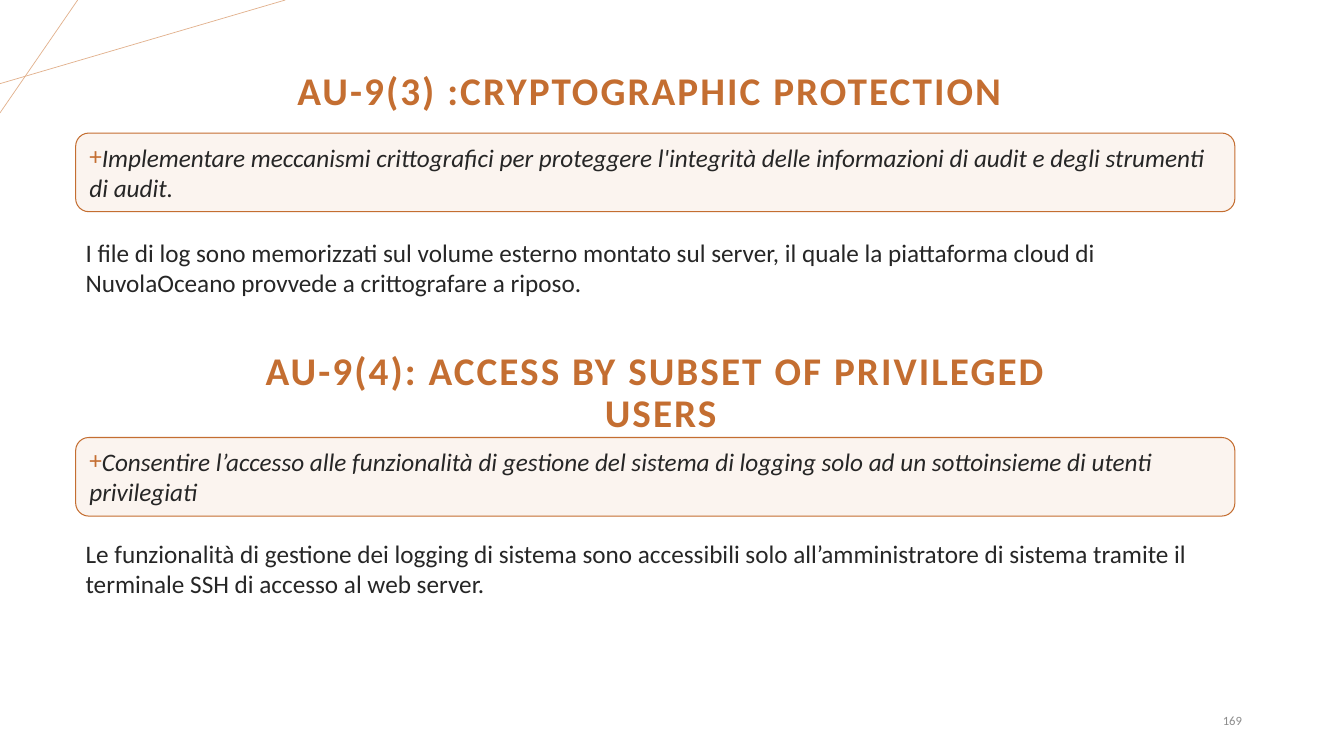
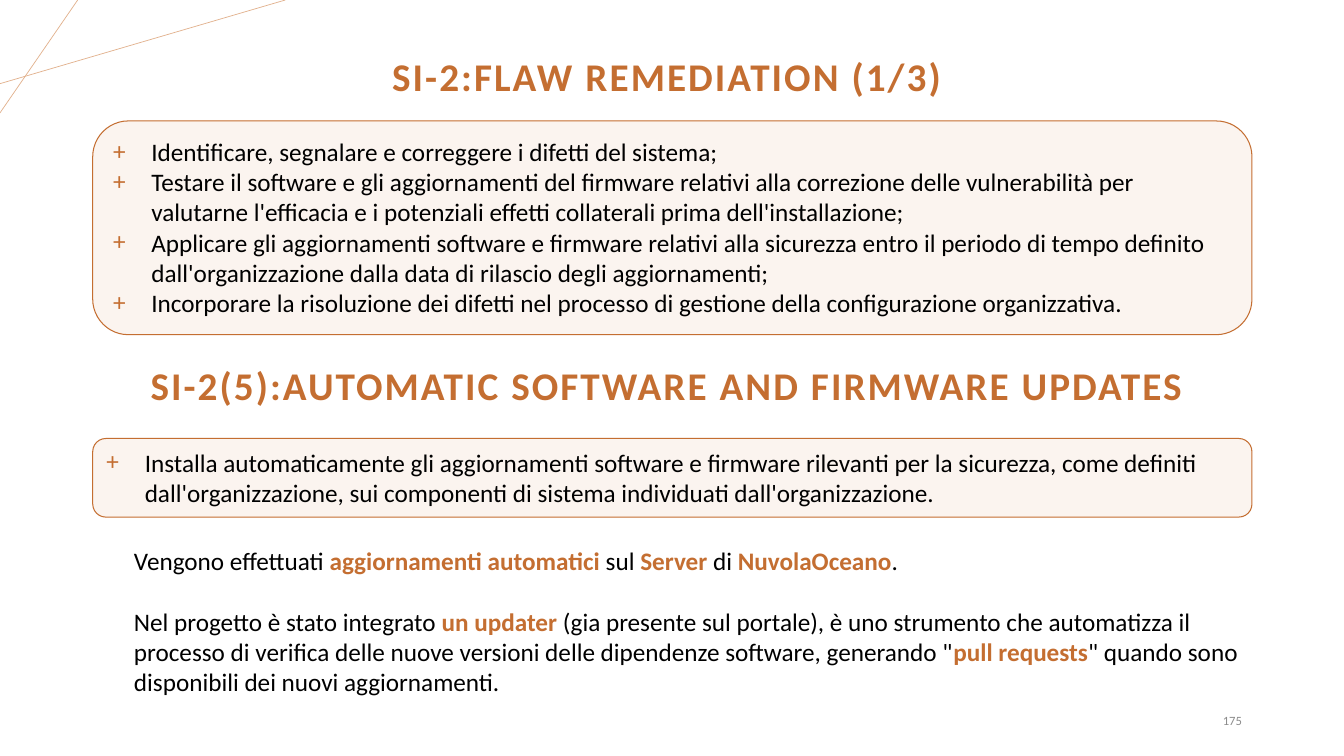
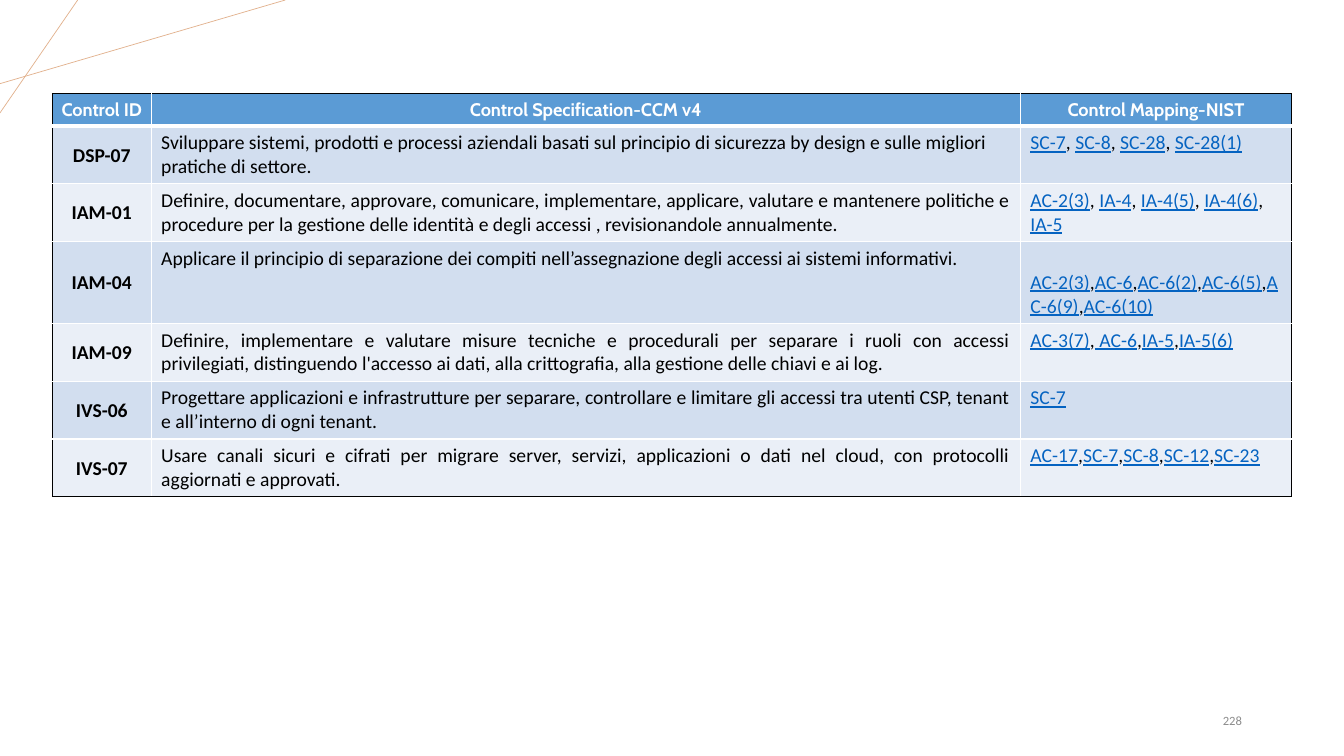
from dataclasses import dataclass

from lxml.etree import SubElement as Sub
from pptx import Presentation
from pptx.dml.color import RGBColor as Rgb
from pptx.enum.shapes import MSO_CONNECTOR as Conn, MSO_SHAPE as Form
from pptx.enum.text import MSO_ANCHOR as Anchor, MSO_AUTO_SIZE as Auto, PP_ALIGN as Align
from pptx.oxml.ns import qn
from pptx.util import Emu, Inches, Pt


@dataclass(frozen=True)
class Theme:
    font: str = "Calibri"
    head_font: str = "Cabin"
    accent: str = "C46E31"
    pale: str = "FBF4EF"
    ray: str = "E2B18D"
    ink: str = "262626"
    black: str = "000000"
    white: str = "FFFFFF"
    grey: str = "8C8C8C"
    link: str = "0563C1"
    head: str = "5B9BD5"
    bands: tuple = ("D2DEEF", "EAEFF7")
    title: int = 28
    body: int = 18
    cell: int = 14
    cell_head: int = 13
    small: int = 9


T = Theme()
WIDTH, HEIGHT = Inches(13.33), Inches(7.5)
SPAN = 86.25  # shared width of titles and panels, in percent


# Places are percentages of the slide's width and height
def across(share):
    return Emu(round(WIDTH * share / 100))


def down(share):
    return Emu(round(HEIGHT * share / 100))


def area(left, top, wide, high):
    return across(left), down(top), across(wide), down(high)


# Text
def style(run, size, color, bold=False, font=T.font):
    face = run.font
    face.name, face.size, face.bold = font, Pt(size), bold
    face.color.rgb = Rgb.from_string(color)


def frame(shape, anchor=Anchor.TOP):
    text = shape.text_frame
    text.word_wrap = True
    text.auto_size = Auto.NONE
    text.vertical_anchor = anchor
    return text


def paras(text, lines):
    text.text = "\n".join(lines)
    return text.paragraphs


def mixed(para, text, size, mark):
    """Write text whose parts between asterisks are set by mark(run)."""
    for i, part in enumerate(text.split("*")):
        if part:
            run = para.add_run()
            run.text = part
            style(run, size, T.black)
            if i % 2:
                mark(run)


def strong(run):
    style(run, T.body, T.accent, True)


def linked(run):
    style(run, T.cell, T.link)
    run.font.underline = True


def plus(para, indent):
    props = para._p.get_or_add_pPr()
    props.set("marL", str(Inches(indent)))
    props.set("indent", str(-Inches(indent)))
    Sub(Sub(props, qn("a:buClr")), qn("a:srgbClr"), val=T.accent)
    Sub(props, qn("a:buFont"), typeface=T.font)
    Sub(props, qn("a:buChar"), char="+")


# Slide elements
def heading(shape, place, *lines):
    shape.left, shape.top, shape.width, shape.height = place
    for para in paras(frame(shape, Anchor.MIDDLE), lines):
        para.alignment = Align.CENTER
        para.line_spacing = 0.9
        for run in para.runs:
            style(run, T.title, T.accent, True)
            run._r.get_or_add_rPr().set("spc", "150")


def subhead(slide, place, *lines):
    heading(slide.shapes.add_textbox(*place), place, *lines)


def panel(slide, place, lines, color, indent=0, italic=False):
    shape = slide.shapes.add_shape(Form.ROUNDED_RECTANGLE, *place)
    shape.shadow.inherit = False
    shape.fill.solid()
    shape.fill.fore_color.rgb = Rgb.from_string(T.pale)
    shape.line.color.rgb = Rgb.from_string(T.accent)
    shape.line.width = Pt(0.75)
    for para in paras(frame(shape), lines):
        para.alignment = Align.LEFT
        plus(para, indent)
        for run in para.runs:
            style(run, T.body, color)
            run.font.italic = italic


def note(slide, place, line):
    para = paras(frame(slide.shapes.add_textbox(*place)), [line])[0]
    style(para.runs[0], T.body, T.ink)


def number(slide, value):
    box = slide.shapes.add_textbox(*area(70.65, 92.67, 22.5, 5.33))
    para = paras(frame(box, Anchor.MIDDLE), [str(value)])[0]
    para.alignment = Align.RIGHT
    style(para.runs[0], T.small, T.grey)


def page(deck, layout, value):
    slide = deck.slides.add_slide(deck.slide_layouts[layout])
    number(slide, value)
    return slide


def rays(deck, slide):
    """Draw the corner lines once and hand them to the master."""
    ends = [(0, 11.07, 21.23, 0), (5.78, 0, 0, 14.93)]
    for x1, y1, x2, y2 in ends:
        line = slide.shapes.add_connector(
            Conn.STRAIGHT, across(x1), down(y1), across(x2), down(y2))
        line.line.color.rgb = Rgb.from_string(T.ray)
        line.line.width = Pt(0.5)
        Sub(line.element.spPr, qn("a:effectLst"))
        deck.slide_master.shapes.element.append(line.element)


# Table
def edge(cell, side, color, width=1):
    line = Sub(cell._tc.get_or_add_tcPr(), qn(f"a:ln{side}"), w=str(Pt(width)))
    Sub(Sub(line, qn("a:solidFill")), qn("a:srgbClr"), val=color)


def borders(cell, row, col, rows, cols):
    outer = {"L": col == 0, "R": col == cols - 1,
             "T": row == 0, "B": row == rows - 1}
    for side, rim in outer.items():
        thick = (row, side) in ((0, "B"), (1, "T"))
        edge(cell, side, T.black if rim else T.white, 3 if thick else 1)


def tight(cell):
    cell.vertical_anchor = Anchor.MIDDLE
    cell.margin_left = cell.margin_right = cell.margin_top = Inches(0.01)
    cell.margin_bottom = 0


def label(cell, text, size, color, font=T.font):
    tight(cell)
    para = paras(cell.text_frame, [text])[0]
    para.alignment = Align.CENTER
    style(para.runs[0], size, color, True, font)


def grid(slide, left, top, widths, heights, head, rows):
    place = area(left, top, sum(widths), sum(heights))
    table = slide.shapes.add_table(len(heights), len(widths), *place).table
    for col, wide in zip(table.columns, widths):
        col.width = across(wide)
    for row, high in zip(table.rows, heights):
        row.height = down(high)
    for i in range(len(heights)):
        for j in range(len(widths)):
            cell = table.cell(i, j)
            borders(cell, i, j, len(heights), len(widths))
            cell.fill.solid()
            fill = T.bands[(i - 1) % 2] if i else T.head
            cell.fill.fore_color.rgb = Rgb.from_string(fill)
    for j, text in enumerate(head):
        label(table.cell(0, j), text, T.cell_head, T.white, T.head_font)
    for i, (name, align, rule, links) in enumerate(rows, 1):
        label(table.cell(i, 0), name, T.cell, T.black)
        for j, text in enumerate((rule, links), 1):
            para = table.cell(i, j).text_frame.paragraphs[0]
            para.alignment = align if j == 1 else Align.LEFT
            mixed(para, text, T.cell, linked)


# Slides
def audit(deck):
    slide = page(deck, 5, 169)
    rays(deck, slide)
    left = 5.63
    heading(slide.shapes.title, area(left, 7.87, SPAN, 8.8),
            "AU-9(3) :CRYPTOGRAPHIC PROTECTION ")
    subhead(slide, area(left, 42.4, SPAN, 19.33),
            "AU-9(4): ACCESS BY SUBSET OF PRIVILEGED", " USERS")
    parts = [
        (17.6, 30.67,
         "Implementare meccanismi crittografici per proteggere l'integrità delle "
         "informazioni di audit e degli strumenti di audit.",
         "I file di log sono memorizzati sul volume esterno montato sul server, il "
         "quale la piattaforma cloud di NuvolaOceano provvede a crittografare a riposo."),
        (57.87, 70.53,
         "Consentire l’accesso alle funzionalità di gestione del sistema di logging "
         "solo ad un sottoinsieme di utenti privilegiati",
         "Le funzionalità di gestione dei logging di sistema sono accessibili solo "
         "all’amministratore di sistema tramite il terminale SSH di accesso al web "
         "server."),
    ]
    for top, below, rule, answer in parts:
        panel(slide, area(left, top, SPAN, 10.4), [rule], T.ink, italic=True)
        note(slide, area(left, below, SPAN, 9.47), answer)


def flaws(deck):
    slide = page(deck, 5, 175)
    left, indent = 6.9, 0.38
    heading(slide.shapes.title, area(left, 4.93, SPAN, 10.93),
            "SI-2:FLAW REMEDIATION (1/3) ")
    panel(slide, area(left, 16, SPAN, 28.27), [
        "Identificare, segnalare e correggere i difetti del sistema;",
        "Testare il software e gli aggiornamenti del firmware relativi alla "
        "correzione delle vulnerabilità per valutarne l'efficacia e i potenziali "
        "effetti collaterali prima dell'installazione;",
        "Applicare gli aggiornamenti software e firmware relativi alla sicurezza "
        "entro il periodo di tempo definito dall'organizzazione dalla data di "
        "rilascio degli aggiornamenti;",
        "Incorporare la risoluzione dei difetti nel processo di gestione della "
        "configurazione organizzativa.",
    ], T.black, indent)
    subhead(slide, area(left, 44.53, SPAN, 13.47),
            "SI-2(5):AUTOMATIC SOFTWARE AND FIRMWARE UPDATES ")
    panel(slide, area(left, 58, SPAN, 10.4), [
        "Installa automaticamente gli aggiornamenti software e firmware rilevanti "
        "per la sicurezza, come definiti dall'organizzazione, sui componenti di "
        "sistema individuati dall'organizzazione.",
    ], T.black, indent)

    # Answer with highlighted terms
    text = frame(slide.shapes.add_textbox(*area(9.23, 71.47, 83.93, 21.33)))
    first, last = text.paragraphs[0], text.add_paragraph()
    first.space_after = Pt(22)
    mixed(first, "Vengono effettuati *aggiornamenti automatici *sul *Server* di "
          "*NuvolaOceano*.", T.body, strong)
    mixed(last, "Nel progetto è stato integrato *un updater *(gia presente sul "
          "portale), è uno strumento che automatizza il processo di verifica delle "
          "nuove versioni delle dipendenze software, generando \"*pull requests*\" "
          "quando sono disponibili dei nuovi aggiornamenti.", T.body, strong)


def mapping(deck):
    slide = page(deck, 6, 228)
    head = ["Control ID", "Control Specification-CCM v4", "Control Mapping-NIST"]
    rows = [
        ("DSP-07", Align.LEFT,
         "Sviluppare sistemi, prodotti e processi aziendali basati sul principio di "
         "sicurezza by design e sulle migliori pratiche di settore.",
         "*SC-7*, *SC-8*, *SC-28*, *SC-28(1)*"),
        ("IAM-01", Align.JUSTIFY,
         "Definire, documentare, approvare, comunicare, implementare, applicare, "
         "valutare e mantenere politiche e procedure per la gestione delle identità "
         "e degli accessi , revisionandole annualmente.",
         "*AC-2(3)*, *IA-4*, *IA-4(5)*, *IA-4(6)*, *IA-5*"),
        ("IAM-04", Align.LEFT,
         "Applicare il principio di separazione dei compiti nell’assegnazione degli "
         "accessi ai sistemi informativi.",
         "* AC-2(3)*,*AC-6*,*AC-6(2)*,*AC-6(5)*,*AC-6(9)*,*AC-6(10)*"),
        ("IAM-09", Align.JUSTIFY,
         "Definire, implementare e valutare misure tecniche e procedurali per "
         "separare i ruoli con accessi privilegiati, distinguendo l'accesso ai dati, "
         "alla crittografia, alla gestione delle chiavi e ai log.",
         "*AC-3(7)*,* AC-6*,*IA-5*,*IA-5(6)*"),
        ("IVS-06", Align.JUSTIFY,
         "Progettare applicazioni e infrastrutture per separare, controllare e "
         "limitare gli accessi tra utenti CSP, tenant e all’interno di ogni tenant.",
         "*SC-7*"),
        ("IVS-07", Align.JUSTIFY,
         "Usare canali sicuri e cifrati per migrare server, servizi, applicazioni o "
         "dati nel cloud, con protocolli aggiornati e approvati.",
         "*AC-17*,*SC-7*,*SC-8*,*SC-12*,*SC-23*"),
    ]
    heights = [4.27] + [10.8 if row[0] == "IAM-04" else 7.6 for row in rows]
    grid(slide, 3.9, 12.4, [7.35, 64.67, 20.18], heights, head, rows)


def main():
    deck = Presentation()
    deck.slide_width, deck.slide_height = WIDTH, HEIGHT
    audit(deck)
    flaws(deck)
    mapping(deck)
    deck.save("out.pptx")


if __name__ == "__main__":
    main()
